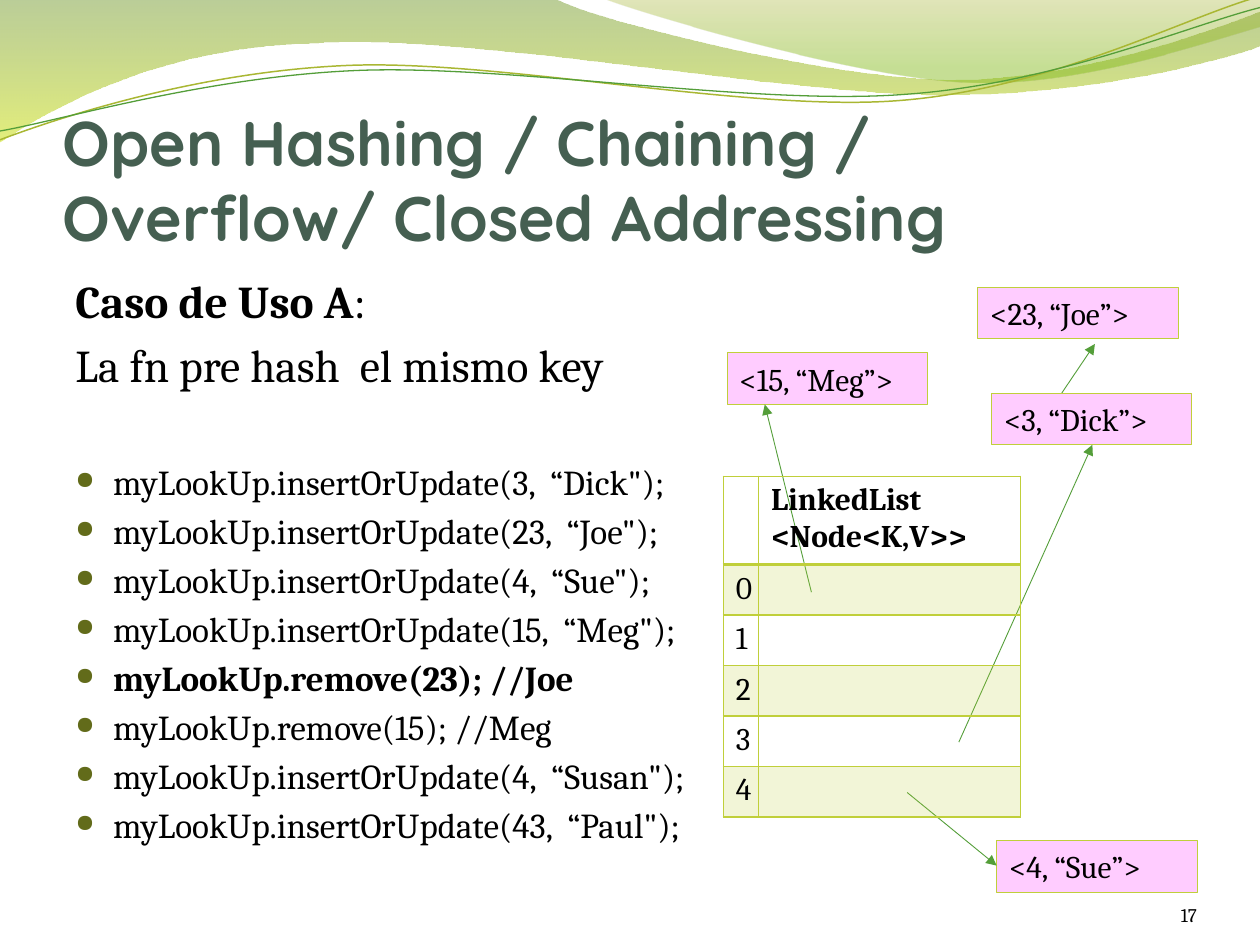
"""Build the open hashing slide with its use case, bucket table and linked nodes."""
import dataclasses
import typing

import lxml.etree
import pptx
import pptx.dml.color
import pptx.enum.shapes
import pptx.enum.text
import pptx.oxml.ns
import pptx.util

Inches = pptx.util.Inches
Pt = pptx.util.Pt
Point = tuple[float, float]


@dataclasses.dataclass(frozen=True)
class Theme:
    heading_font: str = "Quicksand"
    body_font: str = "Cambria"
    title_size: int = 36
    lead_size: int = 26
    code_size: int = 20
    node_size: int = 18
    number_size: int = 11
    title: str = "455F51"
    text: str = "000000"
    bullet: str = "626B1A"
    node: str = "FFCCFF"
    lime: str = "C0CF3A"
    olive: str = "A9B733"
    green: str = "549E39"


THEME = Theme()


class Stop(typing.NamedTuple):
    position: float
    color: str
    opacity: int


@dataclasses.dataclass(frozen=True)
class Wave:
    start: Point
    pieces: tuple[tuple[Point, ...], ...]
    stops: tuple[Stop, ...] = ()
    color: str = ""
    weight: float = 0


class Node(typing.NamedTuple):
    label: str
    left: float
    top: float
    arrow_start: Point
    arrow_end: Point


class Line(typing.NamedTuple):
    text: str
    size: int = THEME.code_size
    bold: bool = False
    bulleted: bool = True
    tail: str = ""
    gap: float = 4


WAVES = (
    Wave((0, 0), (((4.4, -0.01),), ((4.75, 0.17), (6.63, 0.63), (7.58, 0.63)),
                  ((8.53, 0.63), (9.58, 0.26), (10, 0.09)), ((10.01, 0.36),),
                  ((9.83, 0.44), (8.69, 0.76), (7.46, 0.75)),
                  ((6.22, 0.75), (3.81, 0.28), (2.57, 0.34)),
                  ((1.29, 0.36), (0.46, 0.83), (-0.01, 1.13)), ((0, 0),)),
         stops=(Stop(0, "69921C", 45), Stop(1, "CCE10F", 55))),
    Wave((4.79, -0.01), (((5.09, 0.11), (6.82, 0.62), (7.68, 0.65)),
                         ((8.55, 0.69), (9.61, 0.32), (10, 0.21)), ((10, 0),),
                         ((4.79, -0.01),)),
         stops=(Stop(0, "9BAA1A", 30), Stop(0.8, "81BA16", 45))),
    Wave((0, 1.11), (((0.48, 0.93), (1.57, 0.57), (2.76, 0.52)),
                     ((3.95, 0.47), (5.92, 0.89), (7.12, 0.8)),
                     ((8.33, 0.71), (9.38, 0.15), (9.97, -0.02))),
         color=THEME.olive, weight=0.85),
    Wave((0, 1.04), (((0.47, 0.96), (1.63, 0.61), (2.83, 0.56)),
                     ((4.02, 0.51), (5.97, 0.84), (7.17, 0.75)),
                     ((8.36, 0.67), (9.41, 0.21), (10, 0.06))),
         color=THEME.green, weight=0.75),
)
NODES = (
    Node("<15, “Meg”>", 5.77, 2.8, (6.44, 4.7), (6.07, 3.21)),
    Node("<4, “Sue”>", 7.91, 6.67, (7.2, 6.29), (7.91, 6.87)),
    Node("<23, “Joe”>", 7.76, 2.28, (8.42, 3.13), (8.69, 2.73)),
    Node("<3, “Dick”>", 7.87, 3.12, (7.61, 5.89), (8.67, 3.53)),
)
LINES = (
    Line("Caso de Uso A", THEME.lead_size, True, False, ":", 5.2),
    Line("La fn pre hash  el mismo key", THEME.lead_size, bulleted=False, gap=5.4),
    Line("myLookUp.insertOrUpdate(3,  “Dick\");", gap=39.4),
    Line("myLookUp.insertOrUpdate(23,  “Joe\");"),
    Line("myLookUp.insertOrUpdate(4,  “Sue\");"),
    Line("myLookUp.insertOrUpdate(15,  “Meg\");"),
    Line("myLookUp.remove(23); //Joe", bold=True),
    Line("myLookUp.remove(15); //Meg"),
    Line("myLookUp.insertOrUpdate(4,  “Susan\");"),
    Line("myLookUp.insertOrUpdate(43,  “Paul\");"),
)


def rgb(color: str) -> pptx.dml.color.RGBColor:
    return pptx.dml.color.RGBColor.from_string(color)


def add_xml(parent: typing.Any, tag: str, **values: typing.Any) -> typing.Any:
    attributes = {name: str(value) for name, value in values.items()}
    return lxml.etree.SubElement(parent, pptx.oxml.ns.qn(tag), attributes)


def apply(target: typing.Any, values: dict[str, typing.Any]) -> None:
    for name, value in values.items():
        setattr(target, name, value)


def add_span(para: typing.Any, text: str, size: float, bold: bool = False,
             font: str = THEME.body_font, color: str = THEME.text) -> None:
    span = para.add_run()
    span.text = text
    apply(span.font, {"name": font, "size": Pt(size), "bold": bold})
    span.font.color.rgb = rgb(color)


def add_box(page: typing.Any, left: float, top: float, width: float, height: float,
            **frame_format: typing.Any) -> typing.Any:
    box = page.shapes.add_textbox(Inches(left), Inches(top), Inches(width), Inches(height))
    apply(box.text_frame, {"word_wrap": True, **frame_format})
    return box.text_frame


def bend(shape: typing.Any, wave: Wave) -> None:
    segments = list(shape.element.iter(pptx.oxml.ns.qn("a:lnTo")))
    for segment, piece in zip(segments, wave.pieces):
        if len(piece) == 3:
            curve = lxml.etree.Element(pptx.oxml.ns.qn("a:cubicBezTo"))
            for x, y in piece:
                add_xml(curve, "a:pt", x=Inches(x) - shape.left, y=Inches(y) - shape.top)
            segment.getparent().replace(segment, curve)


def add_wave(page: typing.Any, wave: Wave) -> None:
    builder = page.shapes.build_freeform(Inches(wave.start[0]), Inches(wave.start[1]))
    anchors = [(Inches(piece[-1][0]), Inches(piece[-1][1])) for piece in wave.pieces]
    builder.add_line_segments(anchors, close=bool(wave.stops))
    shape = builder.convert_to_shape()
    shape.shadow.inherit = False
    bend(shape, wave)
    if not wave.stops:
        shape.fill.background()
        shape.line.color.rgb = rgb(wave.color)
        shape.line.width = Pt(wave.weight)
        return
    shape.line.fill.background()
    shape.fill.gradient()
    shape.fill.gradient_angle = 270
    for target, stop in zip(shape.fill.gradient_stops, wave.stops):
        target.position = stop.position
        target.color.rgb = rgb(stop.color)
    colors = shape.element.iter(pptx.oxml.ns.qn("a:srgbClr"))
    for color, stop in zip(colors, wave.stops):
        add_xml(color, "a:alpha", val=stop.opacity * 1000)


def add_line(para: typing.Any, line: Line) -> None:
    para.space_before = Pt(line.gap)
    add_span(para, line.text, line.size, line.bold)
    if line.tail:
        add_span(para, line.tail, line.size)
    if line.bulleted:
        properties = para._p.get_or_add_pPr()
        for name, value in {"marL": 0.3, "indent": -0.3}.items():
            properties.set(name, str(int(Inches(value))))
        add_xml(add_xml(properties, "a:buClr"), "a:srgbClr", val=THEME.bullet)
        add_xml(properties, "a:buSzPct", val=70000)
        add_xml(properties, "a:buChar", char="●")


def add_node(page: typing.Any, node: Node) -> None:
    box = page.shapes.add_shape(pptx.enum.shapes.MSO_SHAPE.RECTANGLE, Inches(node.left),
                                Inches(node.top), Inches(1.59), Inches(0.41))
    box.shadow.inherit = False
    box.fill.solid()
    box.fill.fore_color.rgb = rgb(THEME.node)
    box.line.color.rgb = rgb(THEME.lime)
    box.line.width = Pt(0.5)
    para = box.text_frame.paragraphs[0]
    para.alignment = pptx.enum.text.PP_ALIGN.LEFT
    add_span(para, node.label, THEME.node_size)
    ends = [Inches(value) for value in (*node.arrow_start, *node.arrow_end)]
    arrow = page.shapes.add_connector(pptx.enum.shapes.MSO_CONNECTOR.STRAIGHT, *ends)
    arrow.line.color.rgb = rgb(THEME.green)
    arrow.line.width = Pt(0.5)
    add_xml(arrow.line._get_or_add_ln(), "a:tailEnd", type="triangle")
    add_xml(arrow.element.spPr, "a:effectLst")


def style_cell(cell: typing.Any, row: int) -> None:
    properties = cell._tc.get_or_add_tcPr()
    for side in "LRTB":
        thick = (row, side) in ((0, "B"), (1, "T"))
        border = add_xml(properties, f"a:ln{side}", w=int(Pt(2 if thick else 1)))
        add_xml(add_xml(border, "a:solidFill"), "a:srgbClr", val=THEME.lime)
    if row % 2:
        cell.fill.solid()
        cell.fill.fore_color.rgb = rgb(THEME.lime)
        add_xml(properties.find(pptx.oxml.ns.qn("a:solidFill"))[0], "a:alpha", val=20000)
    else:
        cell.fill.background()


def add_buckets(page: typing.Any, count: int = 5) -> None:
    table = page.shapes.add_table(count + 1, 2, Inches(5.74), Inches(3.78),
                                  Inches(2.36), Inches(0.38 * (count + 1))).table
    apply(table, {"first_row": False, "horz_banding": False})
    for column, width in zip(table.columns, (0.28, 2.08)):
        column.width = Inches(width)
    texts = [("", "LinkedList\n<Node<K,V>>"), *((str(index), "") for index in range(count))]
    for index, row in enumerate(texts):
        for cell, text in zip(table.rows[index].cells, row):
            style_cell(cell, index)
            frame = cell.text_frame
            for number, line in enumerate(text.split("\n")):
                para = frame.add_paragraph() if number else frame.paragraphs[0]
                if line:
                    add_span(para, line, THEME.node_size, index == 0)
                else:
                    end = add_xml(para._p, "a:endParaRPr", sz=THEME.node_size * 100)
                    add_xml(end, "a:latin", typeface=THEME.body_font)


def main() -> None:
    deck = pptx.Presentation()
    apply(deck, {"slide_width": Inches(10), "slide_height": Inches(7.5)})
    page = deck.slides.add_slide(deck.slide_layouts[6])
    for wave in WAVES:
        add_wave(page, wave)
    bottom = {"vertical_anchor": pptx.enum.text.MSO_ANCHOR.BOTTOM,
              "margin_left": 0, "margin_right": 0, "margin_bottom": 0}
    title = add_box(page, 0.5, 0.77, 9, 1.25, **bottom)
    add_span(title.paragraphs[0], "Open Hashing / Chaining / Overflow/ Closed Addressing",
             THEME.title_size, True, THEME.heading_font, THEME.title)
    body = add_box(page, 0.5, 2.12, 9, 4.8)
    for index, line in enumerate(LINES):
        add_line(body.add_paragraph() if index else body.paragraphs[0], line)
    number = add_box(page, 8.67, 6.95, 0.83, 0.4, **bottom, margin_top=0)
    number.paragraphs[0].alignment = pptx.enum.text.PP_ALIGN.RIGHT
    add_span(number.paragraphs[0], "17", THEME.number_size)
    for node in NODES:
        add_node(page, node)
    add_buckets(page)
    deck.save("out.pptx")


if __name__ == "__main__":
    main()
